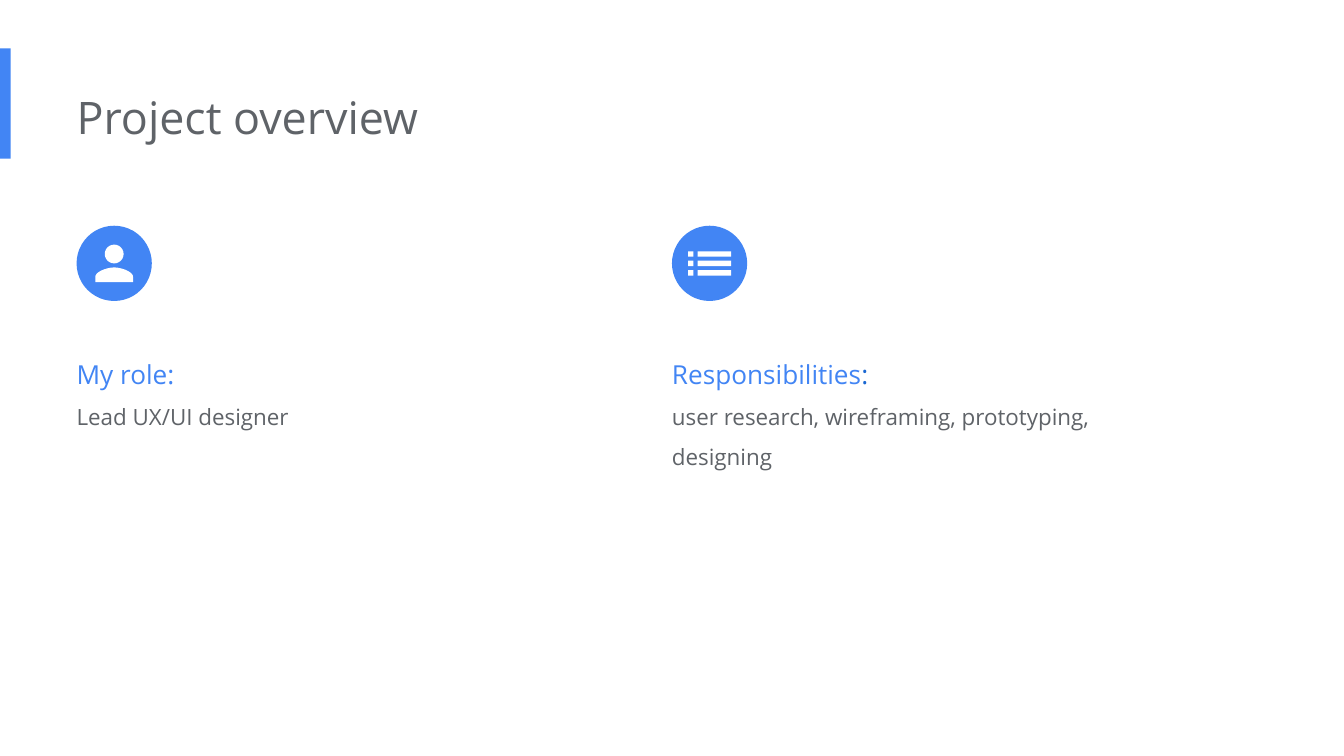
from dataclasses import dataclass
from math import cos, pi, sin

from pptx import Presentation
from pptx.dml.color import RGBColor
from pptx.enum.shapes import MSO_SHAPE as Shape
from pptx.enum.text import MSO_ANCHOR as Anchor, MSO_AUTO_SIZE as AutoSize, PP_ALIGN as Align
from pptx.util import Inches, Pt


@dataclass(frozen=True)
class Theme:
    font: str = "Open Sans"
    blue: str = "4285F4"
    dark_blue: str = "1967D2"
    gray: str = "5F6368"
    white: str = "FFFFFF"
    title: int = 24
    heading: int = 14
    body: int = 12


theme = Theme()


def paint(sp, color):
    sp.fill.solid()
    sp.fill.fore_color.rgb = RGBColor.from_string(color)
    sp.line.fill.background()
    sp.shadow.inherit = False


def write(p, text, size, color):
    r = p.add_run()
    r.text = text
    for name, value in {"name": theme.font, "size": Pt(size), "bold": False}.items():
        setattr(r.font, name, value)
    r.font.color.rgb = RGBColor.from_string(color)


prs = Presentation()
prs.slide_width = Inches(10)
prs.slide_height = prs.slide_width * 9 // 16
s = prs.slides.add_slide(prs.slide_layouts[5])
frame_format = {
    "margin_left": 0, "margin_top": Inches(0.1),
    "margin_right": Inches(0.1), "margin_bottom": Inches(0.1),
    "word_wrap": True, "auto_size": AutoSize.NONE, "vertical_anchor": Anchor.TOP,
}

bar = s.shapes.add_shape(Shape.RECTANGLE, 0, Inches(0.36), Inches(0.08), Inches(0.82))
paint(bar, theme.blue)

title = s.shapes.title
box = {"left": 0.57, "top": 0.57, "width": 6.73, "height": 0.61}
for name, value in box.items():
    setattr(title, name, Inches(value))
for name, value in frame_format.items():
    setattr(title.text_frame, name, value)
p = title.text_frame.paragraphs[0]
p.alignment = Align.LEFT
write(p, "Project overview", theme.title, theme.gray)

steps = 24
angles = [2 * pi * i / steps for i in range(steps)]
head = [(0.28 + 0.07 * cos(a), 0.21 + 0.07 * sin(a)) for a in angles]
shoulder = []
for i in range(steps + 1):
    t = i / steps
    u = 1 - t
    shoulder.append((
        0.14 * u**3 + 0.14 * 3 * u**2 * t + 0.23 * 3 * u * t**2 + 0.28 * t**3,
        0.38 * u**3 + 0.34 * 3 * u**2 * t + 0.31 * 3 * u * t**2 + 0.31 * t**3,
    ))
body = [(0.14, 0.42)] + shoulder + [(0.56 - x, y) for x, y in shoulder[-2::-1]] + [(0.42, 0.42)]
person_icon = [head, body]

list_icon = []
for row in range(3):
    top = 0.19 + 0.07 * row
    for left, right in [(0.12, 0.16), (0.19, 0.44)]:
        bottom = top + 0.04
        list_icon.append([(left, top), (right, top), (right, bottom), (left, bottom)])

columns = [
    (0.57, 0.86, person_icon, [("My role:", theme.blue)], "Lead UX/UI designer"),
    (5, 1.16, list_icon, [("Responsibilities", theme.blue), (":", theme.dark_blue)],
     "user research, wireframing, prototyping, designing"),
]
icon_top = 1.68
for left, height, icon, heading, detail in columns:
    disc = s.shapes.add_shape(
        Shape.OVAL, Inches(left), Inches(icon_top), Inches(0.56), Inches(0.56))
    paint(disc, theme.blue)

    contours = [[(Inches(left + x), Inches(icon_top + y)) for x, y in c] for c in icon]
    outline = s.shapes.build_freeform(*contours[0][0])
    for contour in contours:
        if contour is not contours[0]:
            outline.move_to(*contour[0])
        outline.add_line_segments(contour[1:], close=True)
    paint(outline.convert_to_shape(), theme.white)

    tf = s.shapes.add_textbox(
        Inches(left), Inches(2.45), Inches(3.77), Inches(height)).text_frame
    for name, value in frame_format.items():
        setattr(tf, name, value)
    for p, size, runs in [
        (tf.paragraphs[0], theme.heading, heading),
        (tf.add_paragraph(), theme.body, [(detail, theme.gray)]),
    ]:
        p.line_spacing = 1.5
        for text, color in runs:
            write(p, text, size, color)

prs.save("out.pptx")
